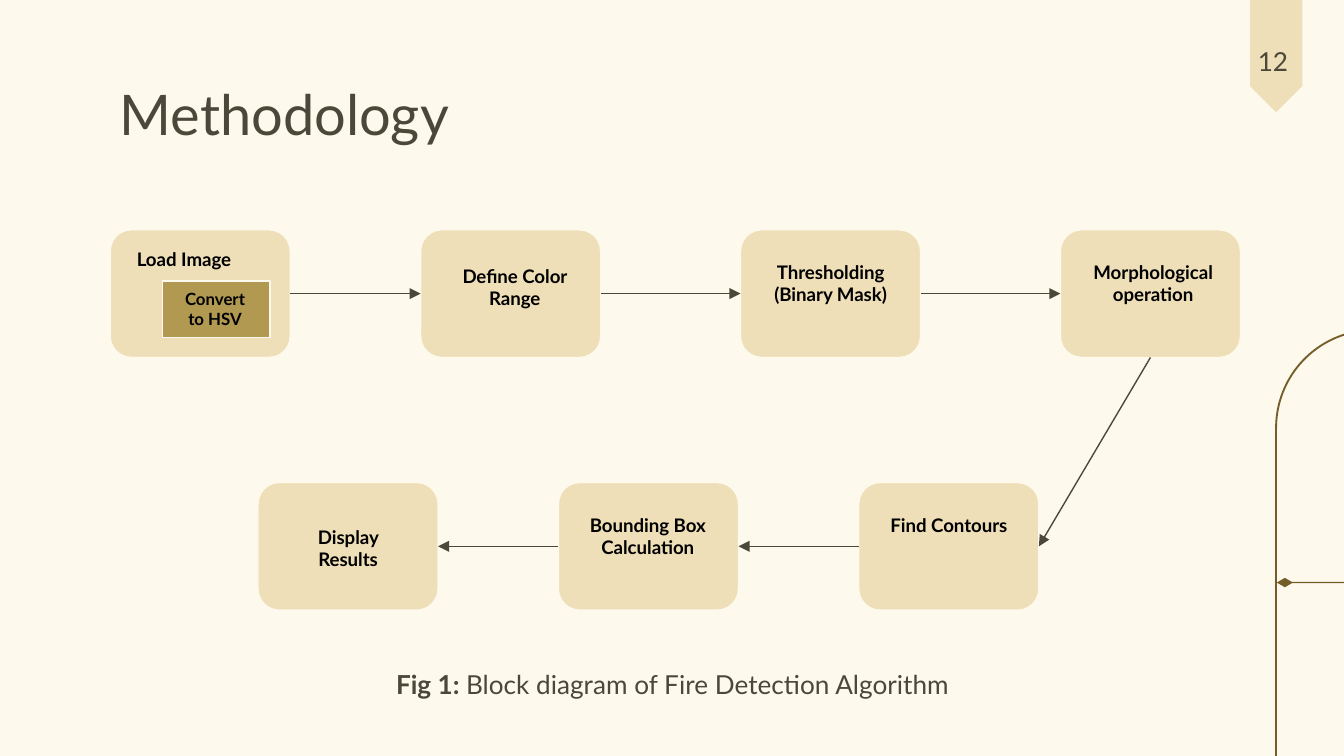
from dataclasses import dataclass

from lxml import etree
from pptx import Presentation
from pptx import util as u
from pptx.dml.color import RGBColor
from pptx.enum import shapes, text
from pptx.oxml import ns

COLUMNS, ROWS = 100, 56.25
CELL = u.Inches(0.1)
FONT = "Lato"
CREAM, SAND, OCHRE, BROWN = "FDF9ED", "EEDFB8", "B19951", "745D28"
INK, BLACK = "4B4739", "000000"
TOP, LEFT, BOTTOM, RIGHT = range(4)
Preset = shapes.MSO_SHAPE
Align = text.PP_ALIGN


@dataclass
class Area:
    column: float
    row: float
    width: float
    height: float

    def lengths(self):
        return [round(n * CELL) for n in (self.column, self.row, self.width, self.height)]


@dataclass
class Step:
    column: float
    row: float
    label: str
    label_area: Area
    align: Align = Align.CENTER


@dataclass
class Link:
    start: int
    start_side: int
    end: int
    end_side: int


def color(hex_value: str) -> RGBColor:
    return RGBColor.from_string(hex_value)


def write(frame, content: str, *, size: float, hue: str = BLACK, bold: bool = False,
          align=Align.LEFT, bold_lead: str = "") -> None:
    frame.word_wrap = True
    frame.auto_size = text.MSO_AUTO_SIZE.NONE
    frame.vertical_anchor = text.MSO_ANCHOR.TOP
    frame.margin_left = frame.margin_right = CELL
    frame.margin_top = frame.margin_bottom = CELL
    for index, line in enumerate(content.split("\n")):
        paragraph = frame.add_paragraph() if index else frame.paragraphs[0]
        paragraph.alignment = align
        paragraph.line_spacing = 1.0
        paragraph.space_before = u.Pt(0)
        for words, weight in ((bold_lead, True), (line, bold)):
            if words:
                run = paragraph.add_run()
                run.text = words
                run.font.name = FONT
                run.font.size = u.Pt(size)
                run.font.bold = weight
                run.font.color.rgb = color(hue)


def add_label(slide, area: Area, content: str, **text_format) -> None:
    write(slide.shapes.add_textbox(*area.lengths()).text_frame, content, **text_format)


def add_block(slide, preset, area: Area, fill: str = "", line: str = "",
              line_width: float = 0.75, corner: float | None = None):
    shape = slide.shapes.add_shape(preset, *area.lengths())
    shape.shadow.inherit = False
    if fill:
        shape.fill.solid()
        shape.fill.fore_color.rgb = color(fill)
    else:
        shape.fill.background()
    if line:
        shape.line.color.rgb = color(line)
        shape.line.width = u.Pt(line_width)
    else:
        shape.line.fill.background()
    if corner is not None:
        shape.adjustments[0] = corner
    return shape


def add_arrow(slide, link: Link, blocks: list) -> None:
    arrow = slide.shapes.add_connector(shapes.MSO_CONNECTOR.STRAIGHT, 0, 0, 0, 0)
    arrow.begin_connect(blocks[link.start], link.start_side)
    arrow.end_connect(blocks[link.end], link.end_side)
    arrow.line.color.rgb = color(INK)
    arrow.line.width = u.Pt(0.75)
    etree.SubElement(arrow.line._get_or_add_ln(), ns.qn("a:tailEnd"), type="triangle")
    etree.SubElement(arrow._element.spPr, ns.qn("a:effectLst"))


def add_decoration(slide) -> None:
    add_block(slide, Preset.ROUNDED_RECTANGLE, Area(94.95, 24.55, 14.6, 48.9),
              line=BROWN, line_width=1, corner=0.5)
    add_block(slide, Preset.RECTANGLE, Area(95.9, 43.3, 16.6, 0.1), fill=BROWN)
    add_block(slide, Preset.DIAMOND, Area(95, 43, 1.2, 0.7), fill=BROWN)
    ribbon = add_block(slide, Preset.PENTAGON, Area(89.6, 1.1, 10.7, 4),
                       fill=SAND, line=CREAM, corner=0.5)
    ribbon.rotation = 90
    add_label(slide, Area(92.6, 2.4, 4.5, 3), "12", size=14, hue=INK)


UPPER, LOWER = 17.1, 35.9
UPPER_START, UPPER_PITCH = 31.3, 23.8
LOWER_START, LOWER_PITCH = 19.2, 22.35

STEPS = [
    Step(8.2, UPPER, "Load Image", Area(9.2, 17.5, 10, 1.9), Align.LEFT),
    Step(UPPER_START, UPPER, "Define Color Range", Area(32.7, 18.7, 11.2, 6.9)),
    Step(UPPER_START + UPPER_PITCH, UPPER, "Thresholding\n(Binary Mask)",
         Area(56.2, 18.4, 11.2, 6.9)),
    Step(UPPER_START + 2 * UPPER_PITCH, UPPER, "Morphological operation",
         Area(79.1, 18.4, 13.4, 6.9)),
    Step(LOWER_START + 2 * LOWER_PITCH, LOWER, "Find Contours", Area(65, 37.2, 11.2, 6.9)),
    Step(LOWER_START + LOWER_PITCH, LOWER, "Bounding Box Calculation",
         Area(42.6, 37.2, 11.2, 6.9)),
    Step(LOWER_START, LOWER, "Display Results", Area(20.3, 38.1, 11.2, 6.9)),
]

LINKS = [
    *(Link(n, RIGHT, n + 1, LEFT) for n in range(3)),
    Link(3, BOTTOM, 4, RIGHT),
    *(Link(n, LEFT, n + 1, RIGHT) for n in (4, 5)),
]


def add_diagram(slide) -> None:
    blocks = [add_block(slide, Preset.ROUNDED_RECTANGLE, Area(step.column, step.row, 13.4, 9.5),
                        fill=SAND, line=CREAM, corner=0.167) for step in STEPS]
    add_block(slide, Preset.RECTANGLE, Area(12.1, 20.9, 8, 4.2), fill=OCHRE, line=CREAM)
    add_label(slide, Area(12.2, 20.5, 7.6, 3.3), "Convert to HSV",
              size=9, bold=True, align=Align.CENTER)
    for step in STEPS:
        add_label(slide, step.label_area, step.label, size=10, bold=True, align=step.align)
    for link in LINKS:
        add_arrow(slide, link, blocks)


def main() -> None:
    presentation = Presentation()
    presentation.slide_width = COLUMNS * CELL
    presentation.slide_height = round(ROWS * CELL)
    slide = presentation.slides.add_slide(presentation.slide_layouts[5])
    slide.background.fill.solid()
    slide.background.fill.fore_color.rgb = color(CREAM)

    title = slide.shapes.title
    title.left, title.top, title.width, title.height = Area(7.9, 4.9, 84.3, 6.3).lengths()
    write(title.text_frame, "Methodology", size=30, hue=INK)

    add_decoration(slide)
    add_diagram(slide)
    add_label(slide, Area(14.9, 48.7, 70.3, 5.2), "Block diagram of Fire Detection Algorithm",
              size=14, hue=INK, align=Align.CENTER, bold_lead="Fig 1: ")
    presentation.save("out.pptx")


if __name__ == "__main__":
    main()
